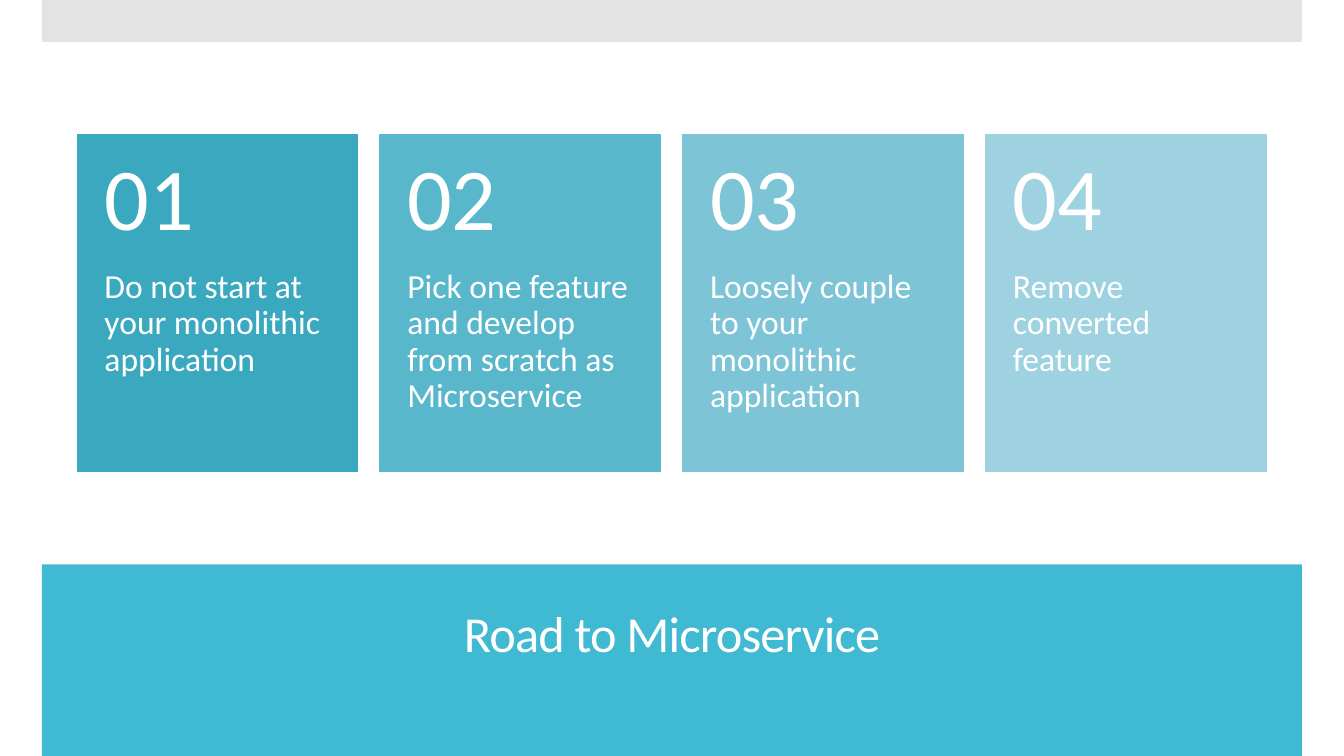
import dataclasses

import pptx
import pptx.dml.color
import pptx.enum.shapes
import pptx.enum.text
import pptx.util

ALIGN = pptx.enum.text.PP_ALIGN
ANCHOR = pptx.enum.text.MSO_ANCHOR
COLS, ROWS = 32, 18


@dataclasses.dataclass(frozen=True)
class Theme:
    font: str = "Calibri"
    text: str = "FFFFFF"
    band: str = "40BAD2"
    strip: str = "E3E3E3"
    cards: tuple = ("3AA9BF", "59B7CC", "7CC4D6", "9ED2E1")
    title: int = 36
    number: int = 63
    body: int = 24


def color(code):
    return pptx.dml.color.RGBColor.from_string(code)


def write(frame, text, *, theme, size, align=ALIGN.LEFT, anchor=ANCHOR.TOP,
          inset=(0.1, 0.05, 0.1, 0.05), track=0):
    """Put text in a frame; inset is left, top, right, bottom in inches."""
    frame.word_wrap = True
    frame.auto_size = pptx.enum.text.MSO_AUTO_SIZE.NONE
    frame.vertical_anchor = anchor
    (frame.margin_left, frame.margin_top,
     frame.margin_right, frame.margin_bottom) = map(pptx.util.Inches, inset)
    para = frame.paragraphs[0]
    para.alignment = align
    para.line_spacing = 0.9
    run = para.add_run()
    run.text = text
    run.font.name = theme.font
    run.font.size = pptx.util.Pt(size)
    run.font.color.rgb = color(theme.text)
    if track:
        run.font._element.set("spc", str(round(track * 100)))


class Page:
    """Draws on one slide; places are in columns and rows of the grid."""

    def __init__(self, deck, theme):
        self.theme = theme
        self.slide = deck.slides.add_slide(deck.slide_layouts[5])
        self.col = deck.slide_width / COLS
        self.row = deck.slide_height / ROWS

    def place(self, left, top, width, height):
        return (round(left * self.col), round(top * self.row),
                round(width * self.col), round(height * self.row))

    def block(self, fill, *box):
        shape = self.slide.shapes.add_shape(
            pptx.enum.shapes.MSO_SHAPE.RECTANGLE, *self.place(*box))
        shape.shadow.inherit = False
        shape.fill.solid()
        shape.fill.fore_color.rgb = color(fill)
        shape.line.fill.background()
        return shape

    def label(self, text, *box, **form):
        shape = self.slide.shapes.add_textbox(*self.place(*box))
        write(shape.text_frame, text, theme=self.theme, **form)

    def title(self, text, *box):
        shape = self.slide.shapes.title
        shape.left, shape.top, shape.width, shape.height = self.place(*box)
        # Bring the title in front of the band
        self.slide.shapes._spTree.append(shape._element)
        write(shape.text_frame, text, theme=self.theme, size=self.theme.title,
              align=ALIGN.CENTER, anchor=ANCHOR.MIDDLE, track=-0.6)

    def card(self, number, text, fill, left, top, width, height):
        head = height * 0.4
        shape = self.block(fill, left, top, width, height)
        shape.line.color.rgb = color(fill)
        shape.line.width = pptx.util.Pt(0.85)
        self.label(text, left, top + head, width, height - head,
                   size=self.theme.body, inset=(0.27, 0, 0.27, 0.36))
        self.label(f"{number:02}", left, top, width, head,
                   size=self.theme.number, anchor=ANCHOR.MIDDLE,
                   inset=(0.27, 0.18, 0.27, 0.18))


def main():
    deck = pptx.Presentation()
    deck.slide_width = pptx.util.Inches(13.33)
    deck.slide_height = pptx.util.Inches(7.5)
    theme = Theme()
    page = Page(deck, theme)

    # Bands and title
    page.block(theme.band, 1, 13.44, COLS - 2, ROWS - 13.44)
    page.block(theme.strip, 1, 0, COLS - 2, 1)
    page.title("Road to Microservice", 1.68, 13.8, 28.64, 2.69)

    # Four steps in equal columns
    steps = (
        "Do not start at your monolithic application",
        "Pick one feature and develop from scratch as Microservice",
        "Loosely couple to your monolithic application",
        "Remove converted feature",
    )
    first, pitch, width = 1.84, 7.21, 6.68
    for index, (text, fill) in enumerate(zip(steps, theme.cards)):
        page.card(index + 1, text, fill,
                  first + index * pitch, 3.21, width, 8.02)

    deck.save("out.pptx")


if __name__ == "__main__":
    main()
